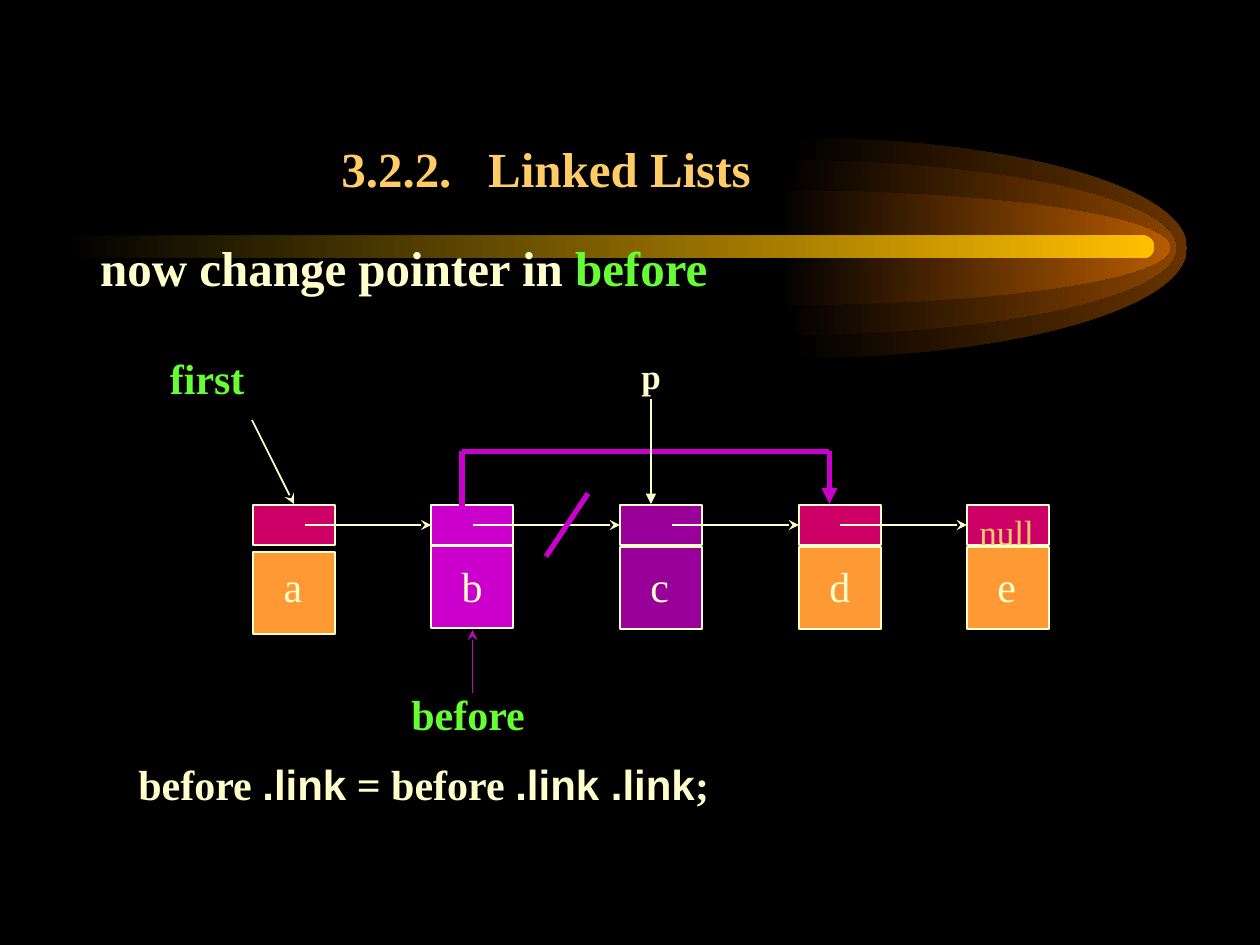
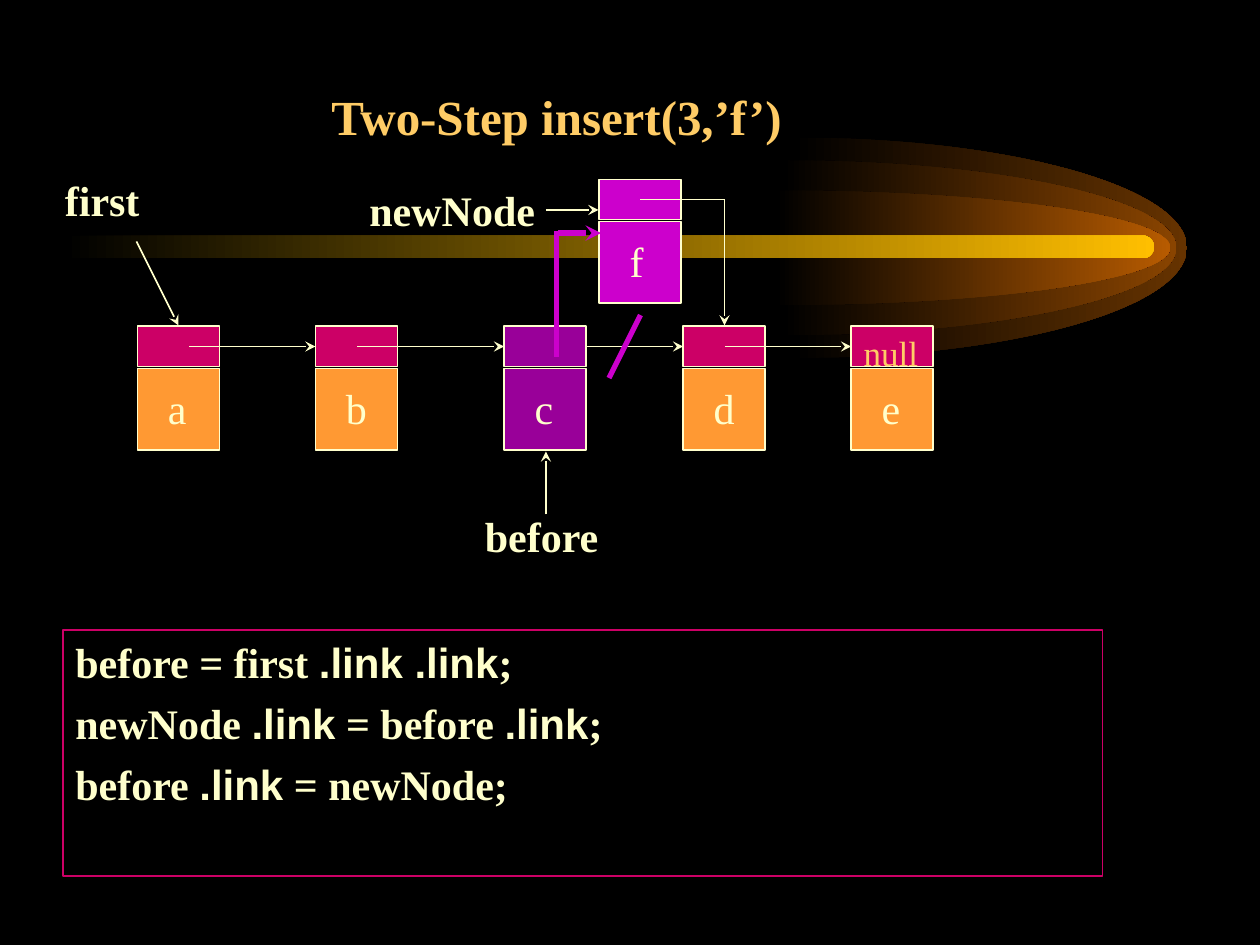
import itertools
from dataclasses import dataclass

import pptx
import pptx.dml.color
import pptx.enum.shapes
import pptx.enum.text
import pptx.oxml.ns
import pptx.util
from lxml import etree

Pt = pptx.util.Pt
qn = pptx.oxml.ns.qn
MSO_SHAPE = pptx.enum.shapes.MSO_SHAPE
PP_ALIGN = pptx.enum.text.PP_ALIGN
MSO_ANCHOR = pptx.enum.text.MSO_ANCHOR


@dataclass(frozen=True)
class Theme:
    black: str = "000000"
    cream: str = "FFFFCC"
    gold: str = "FFCC66"
    green: str = "66FF33"
    magenta: str = "CC00CC"
    purple: str = "990099"
    crimson: str = "CC0066"
    orange: str = "FF9933"
    bar: str = "FFBF00"
    comet: tuple = ("663300", "894400", "B75B00")
    serif: str = "Times New Roman"
    sans: str = "Arial"
    title_size: float = 28
    text_size: float = 24
    small_size: float = 20
    thin: float = 1
    thick: float = 3


THEME = Theme()
COLUMNS = {"a": 144.7, "b": 246.4, "c": 354.2, "d": 456.5, "e": 552.5}
CELL_WIDTH = 46.8
LINK_HEIGHT = 23
VALUE_GAP = 24
POINTER_DROP = 11.5
PLAIN_NODE = (THEME.crimson, THEME.orange)
ROUNDNESS = 0.55


def rgb(color):
    return pptx.dml.color.RGBColor.from_string(color)


class SlideBuilder:
    def __init__(self, presentation, theme):
        self.presentation = presentation
        self.theme = theme
        self.slide = None

    def new_slide(self):
        self.slide = self.presentation.slides.add_slide(self.presentation.slide_layouts[6])
        background = self.slide.background.fill
        background.solid()
        background.fore_color.rgb = rgb(self.theme.black)
        halves = ((453, 63), (447, 50), (443.5, 32.8))
        for (left, half_height), color in zip(halves, self.theme.comet):
            self.half_ellipse(left, 141.6, 225.2, half_height, color)
        bar = self.slide.shapes.add_shape(
            MSO_SHAPE.ROUNDED_RECTANGLE, Pt(36), Pt(134.6), Pt(623.5), Pt(13))
        bar.adjustments[0] = 0.5
        self.fade(bar, self.theme.bar)

    def half_ellipse(self, left, middle, width, half_height, color):
        top, bottom = middle - half_height, middle + half_height
        builder = self.slide.shapes.build_freeform(Pt(left), Pt(top))
        corners = ((left + width, middle), (left, bottom), (left, middle))
        builder.add_line_segments([(Pt(x), Pt(y)) for x, y in corners], close=True)
        shape = builder.convert_to_shape()
        near, far = 1 - ROUNDNESS, 1 + ROUNDNESS
        curves = (((ROUNDNESS, 0), (1, near), (1, 1)), ((1, far), (ROUNDNESS, 2), (0, 2)))
        lines = list(shape._element.iter(qn("a:lnTo")))
        for line, curve in zip(lines, curves):
            bezier = etree.Element(qn("a:cubicBezTo"))
            for x, y in curve:
                etree.SubElement(bezier, qn("a:pt"), x=str(int(Pt(x * width))),
                                 y=str(int(Pt(y * half_height))))
            line.getparent().replace(line, bezier)
        self.fade(shape, color)

    def fade(self, shape, color):
        shape.shadow.inherit = False
        shape.line.fill.background()
        shape.fill.gradient()
        shape.fill.gradient_angle = 0
        for stop, stop_color in zip(shape.fill.gradient_stops, (self.theme.black, color)):
            stop.color.rgb = rgb(stop_color)

    def box(self, left, top, width, height, fill=None, line=None):
        shape = self.slide.shapes.add_shape(
            MSO_SHAPE.RECTANGLE, Pt(left), Pt(top), Pt(width), Pt(height))
        shape.shadow.inherit = False
        if fill:
            shape.fill.solid()
            shape.fill.fore_color.rgb = rgb(fill)
        else:
            shape.fill.background()
        shape.line.color.rgb = rgb(line or self.theme.cream)
        shape.line.width = Pt(self.theme.thin)
        return shape

    def add_run(self, paragraph, text, size=None, color=None, bold=True, font=None):
        run = paragraph.add_run()
        run.text = text
        run.font.size = Pt(size or self.theme.text_size)
        run.font.bold = bold
        run.font.name = font or self.theme.serif
        run.font.color.rgb = rgb(color or self.theme.cream)
        return run

    def text_box(self, left, top, width, height, wrap=True):
        text_frame = self.slide.shapes.add_textbox(
            Pt(left), Pt(top), Pt(width), Pt(height)).text_frame
        text_frame.word_wrap = wrap
        return text_frame

    def label(self, text, left, top, width, height=36, wrap=True, **style):
        text_frame = self.text_box(left, top, width, height, wrap)
        self.add_run(text_frame.paragraphs[0], text, **style)

    def title(self, left, top, *parts):
        text_frame = self.text_box(left, top, 588, 60)
        text_frame.vertical_anchor = MSO_ANCHOR.MIDDLE
        paragraph = text_frame.paragraphs[0]
        paragraph.alignment = PP_ALIGN.CENTER
        for part in parts:
            run = self.add_run(paragraph, part, self.theme.title_size, self.theme.gold)
            if part == " ":
                run.font._element.set("spc", "1400")

    def code(self, text_frame, statements):
        for index, statement in enumerate(statements):
            paragraph = text_frame.add_paragraph() if index else text_frame.paragraphs[0]
            paragraph.alignment = PP_ALIGN.LEFT
            if index:
                paragraph.space_before = Pt(6)
            fonts = itertools.cycle((self.theme.serif, self.theme.sans))
            for part, font in zip(statement.split("|"), fonts):
                self.add_run(paragraph, part, font=font)

    def arrow(self, *points, color=None, width=None, head="stealth"):
        segments = list(itertools.pairwise(points))
        for number, (start, end) in enumerate(segments, 1):
            connector = self.slide.shapes.add_connector(
                pptx.enum.shapes.MSO_CONNECTOR.STRAIGHT, *map(Pt, start + end))
            connector.line.color.rgb = rgb(color or self.theme.cream)
            connector.line.width = Pt(width or self.theme.thin)
            if head and number == len(segments):
                line = connector.line._get_or_add_ln()
                etree.SubElement(line, qn("a:tailEnd"), type=head)
            etree.SubElement(connector._element.spPr, qn("a:effectLst"))

    def thick_arrow(self, *points, head=None):
        self.arrow(*points, color=self.theme.magenta, width=self.theme.thick, head=head)

    def node(self, letter, left, top, colors, value_gap=VALUE_GAP):
        link_color, value_color = colors
        self.box(left, top + value_gap, CELL_WIDTH, CELL_WIDTH, value_color)
        self.box(left, top, CELL_WIDTH, LINK_HEIGHT, link_color)
        self.label(letter, left + 10.3, top + 28.4, 26, wrap=False, bold=False)

    def linked_list(self, shift, top, special_colors, pointer_offsets, value_gaps):
        lefts = [left + shift for left in COLUMNS.values()]
        for letter, left in zip(COLUMNS, lefts):
            self.node(letter, left, top, special_colors.get(letter, PLAIN_NODE),
                      value_gaps.get(letter, VALUE_GAP))
        pointer_y = top + POINTER_DROP
        for (left, next_left), offset in zip(itertools.pairwise(lefts), pointer_offsets):
            self.arrow((left + offset, pointer_y), (next_left, pointer_y))
        self.label("null", lefts[-1], top - 0.5, 48, 31,
                   size=self.theme.small_size, color=self.theme.gold, bold=False)


def build_delete_slide(builder):
    theme = builder.theme
    builder.new_slide()
    builder.title(18, 66, "3.2.2.", " ", "Linked Lists")
    heading = builder.text_box(50.2, 132.3, 560, 42).paragraphs[0]
    builder.add_run(heading, "now change pointer in ", theme.title_size)
    builder.add_run(heading, "before", theme.title_size, theme.green)
    builder.code(builder.text_box(72, 430, 612, 38),
                 ["before |.link| = before |.link .link|;"])
    builder.label("before", 228, 390, 144, color=theme.green)
    builder.linked_list(
        0, 288.5,
        {"b": (theme.magenta, theme.magenta), "c": (theme.purple, theme.purple)},
        (29.5, 23.6, 29.8, 23.5), {"a": 27, "b": 23.4})
    builder.label("first", 90, 198, 132, color=theme.green)
    builder.arrow((144, 240), (168, 288))
    builder.thick_arrow((264, 300), (264, 258), (474, 258), (474, 288), head="triangle")
    builder.thick_arrow((336, 282), (312, 318))
    builder.arrow((270, 396), (270, 360), color=theme.magenta)
    builder.label("p", 359.5, 199, 25, 32, wrap=False, size=theme.small_size)
    builder.arrow((372, 228), (372, 288), head="triangle")


def build_insert_slide(builder):
    theme = builder.theme
    builder.new_slide()
    builder.title(24, 36, "Two-Step insert(3,’f’)")
    code_box = builder.box(36, 360, 594, 140.5, line=theme.crimson)
    code_box.text_frame.word_wrap = True
    code_box.text_frame.vertical_anchor = MSO_ANCHOR.TOP
    builder.code(code_box.text_frame, [
        "before = first |.link .link|;",
        "newNode |.link| = before |.link|;",
        "before |.link| = newNode;",
    ])
    builder.linked_list(-66.1, 186.5, {"c": (theme.purple, theme.purple)},
                        (29.5, 23.8, CELL_WIDTH, 23.8), {})
    builder.label("first", 30, 96, 132)
    builder.arrow((78, 138), (102, 186))
    builder.node("f", 342.4, 102.5, (theme.magenta, theme.magenta))
    builder.arrow((366, 114), (414, 114), (414, 186))
    builder.label("newNode", 204, 102, 120)
    builder.arrow((312, 120), (342, 120))
    builder.thick_arrow((366, 180), (348, 216))
    builder.label("before", 270, 288, 144)
    builder.arrow((312, 294), (312, 258))
    builder.thick_arrow((318, 204), (318, 132))
    builder.thick_arrow((319, 133.2), (343.5, 133.2), head="stealth")


def main():
    presentation = pptx.Presentation()
    presentation.slide_width = Pt(720)
    presentation.slide_height = Pt(540)
    builder = SlideBuilder(presentation, THEME)
    build_delete_slide(builder)
    build_insert_slide(builder)
    presentation.save("out.pptx")


if __name__ == "__main__":
    main()
